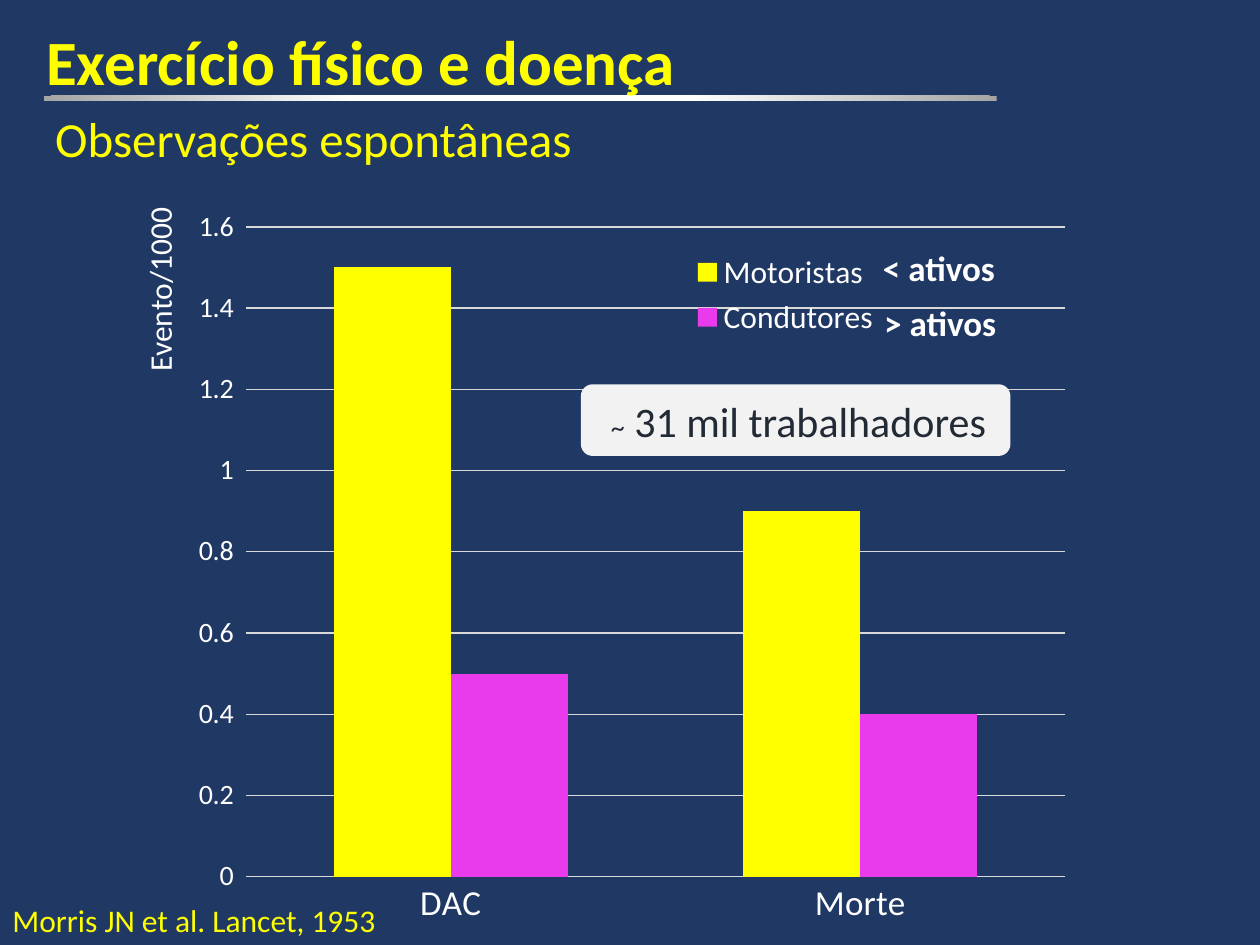
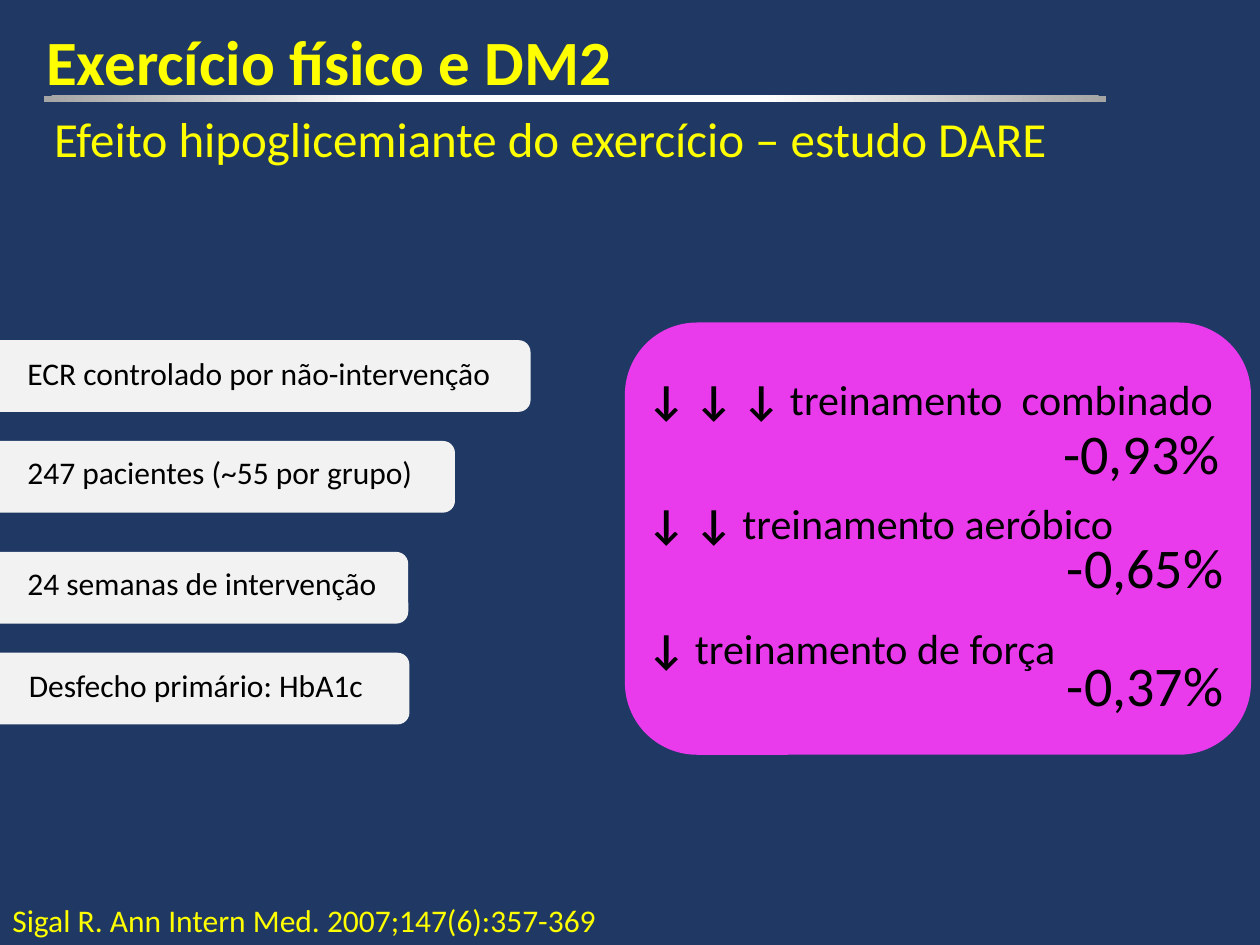
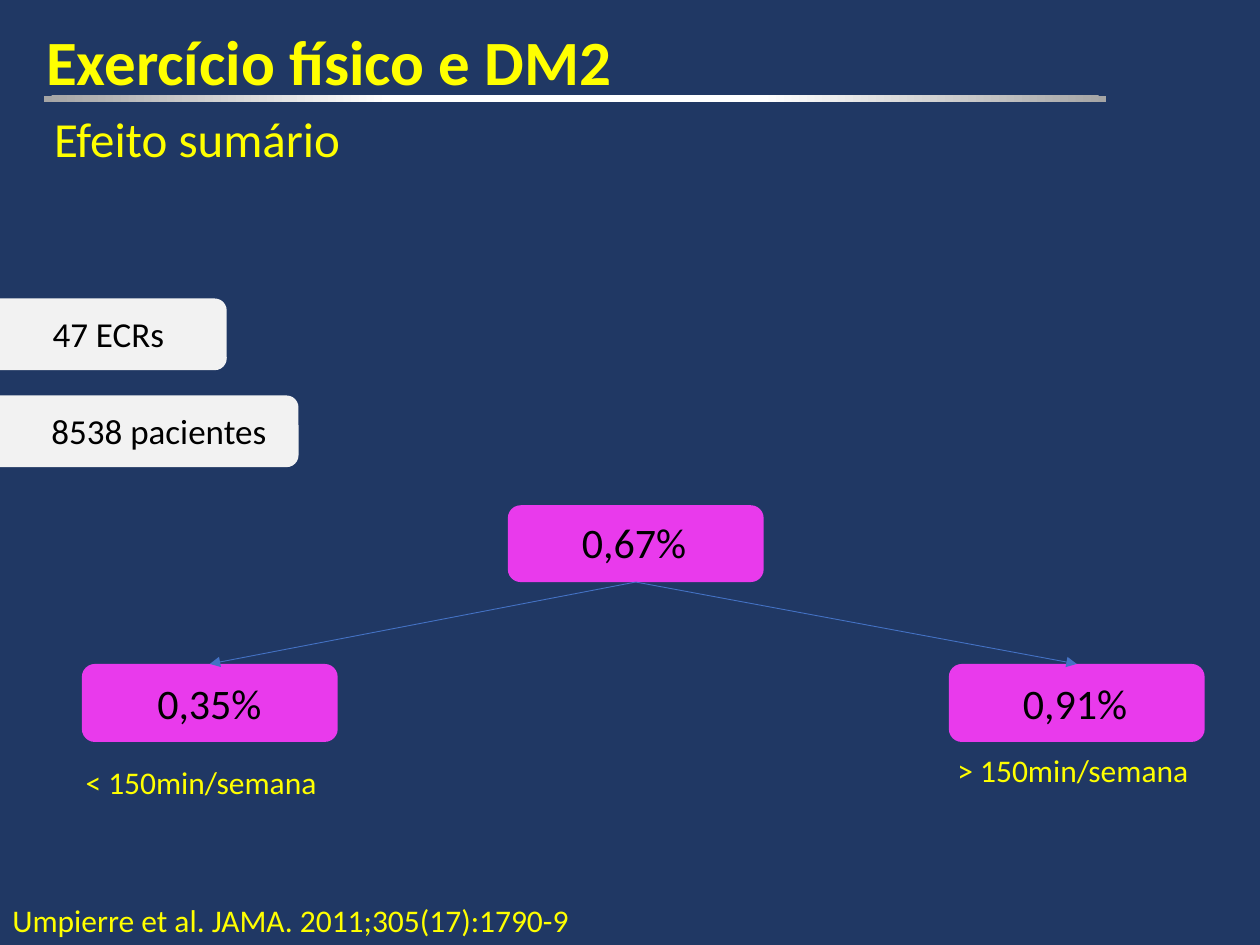
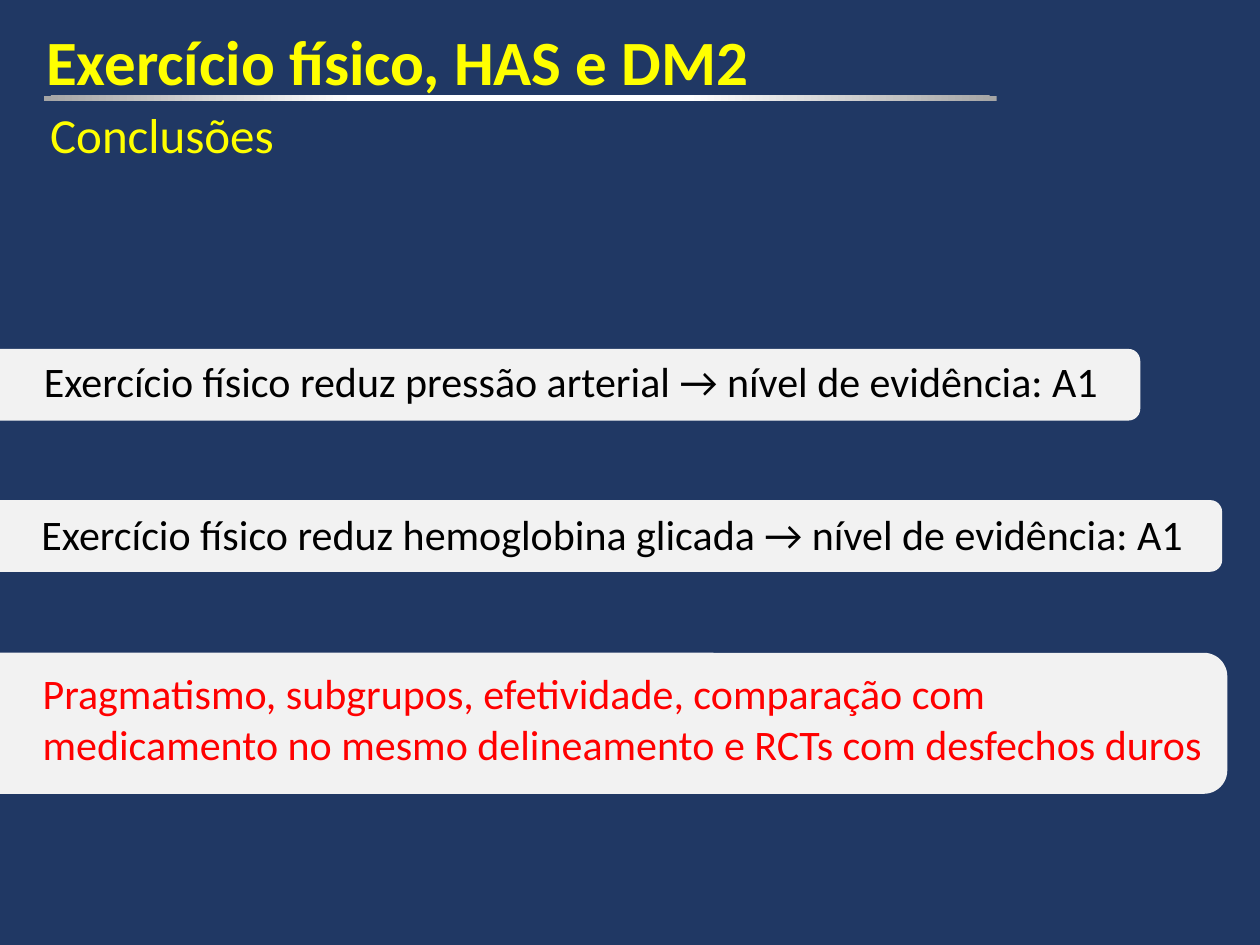
from dataclasses import dataclass

from lxml import etree
from pptx import Presentation
from pptx import util as u
from pptx.chart import data as chart_data
from pptx.dml import color as dml
from pptx.enum import chart as ch
from pptx.enum import shapes, text
from pptx.oxml import parse_xml
from pptx.oxml import ns


@dataclass(frozen=True)
class Theme:
    font: str = "Calibri"
    navy: str = "203864"
    yellow: str = "FFFF00"
    magenta: str = "E93AEC"
    pale: str = "F2F2F2"
    white: str = "FFFFFF"
    black: str = "000000"
    ink: str = "222A35"
    red: str = "FF0000"
    silver: str = "A5A5A5"
    grid: str = "D9D9D9"
    arrow: str = "4472C4"
    title: int = 36
    value: int = 32
    subtitle: int = 28
    body: int = 24
    medium: int = 20
    small: int = 18
    tick: int = 16


T = Theme()
PILL_HEIGHT = 41

# Subtitle: text, left, top, width.  Rule: width, height.  Source: text, width.
HEADERS = {
    "observations": dict(
        title="Exercício físico e doença",
        subtitle=("Observações espontâneas", 24.5, 58.3, 313),
        rule=(544.3, 2.9), source=("Morris JN et al. Lancet, 1953", 224.6)),
    "dare": dict(
        title="Exercício físico e DM2",
        subtitle=("Efeito hipoglicemiante do exercício – estudo DARE", 23.8, 58.3, 588),
        rule=(607, 3.6), source=("Sigal R. Ann Intern Med. 2007;147(6):357-369", 352)),
    "summary": dict(
        title="Exercício físico e DM2",
        subtitle=("Efeito sumário", 23.8, 58.3, 179.3),
        rule=(607, 3.6), source=("Umpierre et al. JAMA. 2011;305(17):1790-9", 336.2)),
    "conclusions": dict(
        title="Exercício físico, HAS e DM2",
        subtitle=("Conclusões", 21.6, 56.2, 144),
        rule=(544.3, 2.9), source=None),
}

EVENTS = {
    "categories": ["DAC", "Morte"],
    "series": [("Motoristas", (1.5, 0.9), T.yellow),
               ("Condutores", (0.5, 0.4), T.magenta)],
}
ACTIVITY = [("< ativos", 497.5, 137.5), ("> ativos", 498.2, 168.5)]

# Text, pill left, top and width, then label left, top and width.
DARE_DESIGN = [
    ("ECR controlado por não-intervenção", -37.4, 194.4, 340.6, 8.6, 198.7, 282.2),
    ("247 pacientes (~55 por grupo)", -37.4, 252, 297.4, 8.6, 255.6, 237.6),
    ("24 semanas de intervenção", -37.4, 315.4, 270.7, 8.6, 319, 216.7),
    ("Desfecho primário: HbA1c", -36.7, 373, 270.7, 9.4, 377.3, 208),
]
SUMMARY_SAMPLE = [
    ("47 ECRs", -36, 170.6, 165.6, 23, 175, 78.5),
    ("8538 pacientes", -32.4, 226, 203, 22.3, 230.4, 156.2),
]
CONCLUSIONS = [
    ("Exercício físico reduz pressão arterial → nível de evidência: A1",
     -53.3, 199.4, 704.9, 18, 199.4, 625),
    ("Exercício físico reduz hemoglobina glicada → nível de evidência: A1",
     -41.8, 285.8, 740.2, 16.6, 287.3, 675.4),
]
GAPS = ("Pragmatismo, subgrupos, efetividade, comparação com medicamento "
        "no mesmo delineamento e RCTs com desfechos duros",
        -38.9, 373, 740.2, 17.3, 378, 679)

# Arrows, training, top, width, then change in HbA1c with its left and top.
TRAINING = [
    ("↓ ↓ ↓ ", "treinamento  combinado", 210.2, 340.6, "-0,93%", 600.5, 235.4),
    ("↓ ↓", " treinamento aeróbico", 280.8, 283, "-0,65%", 602.6, 301),
    ("↓ ", "treinamento de força", 352.1, 249.8, "-0,37%", 602.6, 367.9),
]

# Change, box left, top and height, label left and top.
OVERALL = ("0,67%", 290.2, 288.7, 43.9, 325.4, 291.6)
BY_DURATION = [
    (("0,35%", 46.8, 379.4, 44.6, 82.8, 383.8), ("< 150min/semana", 41.8, 432.7)),
    (("0,91%", 542.2, 379.4, 44.6, 577.4, 383.8), ("> 150min/semana", 540, 425.5)),
]


def rgb(value):
    return dml.RGBColor.from_string(value)


def style_font(font, size, color, bold=False):
    font.name, font.size, font.bold = T.font, u.Pt(size), bold
    font.color.rgb = rgb(color)


def add_text(slide, content, left, top, width, *, size=T.small, color=T.black, bold=False,
             wrap=False, lines=1, height=None, rotation=0):
    """Content is a string, or a list of (string, format overrides)."""
    fit = height is None
    height = height or round(1.2 * size * lines + 7.2, 1)
    box = slide.shapes.add_textbox(u.Pt(left), u.Pt(top), u.Pt(width), u.Pt(height))
    box.rotation = rotation
    frame = box.text_frame
    frame.word_wrap = wrap
    frame.auto_size = text.MSO_AUTO_SIZE.SHAPE_TO_FIT_TEXT if fit else text.MSO_AUTO_SIZE.NONE
    for words, overrides in [(content, {})] if isinstance(content, str) else content:
        run = frame.paragraphs[0].add_run()
        run.text = words
        style_font(run.font, **{"size": size, "color": color, "bold": bold, **overrides})


def add_block(slide, left, top, width, height, color,
              kind=shapes.MSO_SHAPE.ROUNDED_RECTANGLE):
    block = slide.shapes.add_shape(kind, u.Pt(left), u.Pt(top), u.Pt(width), u.Pt(height))
    block.shadow.inherit = False
    block.fill.solid()
    block.fill.fore_color.rgb = rgb(color)
    block.line.fill.background()
    return block


def add_rule(slide, width, height):
    """Thin bar that fades from a white centre to grey ends."""
    rule = add_block(slide, 25.2, 54.7, width, height, T.white, shapes.MSO_SHAPE.RECTANGLE)
    stops = "".join(f'<a:gs pos="{pos}"><a:srgbClr val="{color}"/></a:gs>'
                    for pos, color in [(0, T.white), (35000, T.white), (100000, T.silver)])
    gradient = parse_xml(
        f'<a:gradFill {ns.nsdecls("a")} rotWithShape="1"><a:gsLst>{stops}</a:gsLst>'
        '<a:path path="circle"><a:fillToRect l="50000" t="-80000" r="50000" b="180000"/>'
        '</a:path></a:gradFill>')
    properties = rule.element.spPr
    properties.replace(properties.find(ns.qn("a:solidFill")), gradient)


def add_pill(slide, words, left, top, width, label_left, label_top, label_width,
             height=PILL_HEIGHT, **style):
    add_block(slide, left, top, width, height, T.pale)
    add_text(slide, words, label_left, label_top, label_width, **style)


def add_slide(deck, title, subtitle, rule, source):
    slide = deck.slides.add_slide(deck.slide_layouts[6])
    slide.background.fill.solid()
    slide.background.fill.fore_color.rgb = rgb(T.navy)
    add_rule(slide, *rule)
    add_text(slide, *subtitle, size=T.subtitle, color=T.yellow)
    add_text(slide, title, 19.4, 9.4, 700.6, height=102.2, size=T.title,
             color=T.yellow, bold=True, wrap=True)
    if source:
        words, width = source
        add_text(slide, words, 0, 511.2, width, color=T.yellow)
    return slide


def place(part, x, y, w, h, inner=False):
    """Give a plot area or legend a fixed place, in fractions of the chart."""
    for old in part.findall(ns.qn("c:layout")):
        part.remove(old)
    layout = etree.Element(ns.qn("c:layout"))
    manual = etree.SubElement(layout, ns.qn("c:manualLayout"))
    settings = [("layoutTarget", "inner")] if inner else []
    settings += [("xMode", "edge"), ("yMode", "edge"), ("x", x), ("y", y), ("w", w), ("h", h)]
    for tag, value in settings:
        etree.SubElement(manual, ns.qn(f"c:{tag}")).set("val", str(value))
    part.insert(0 if inner else 1, layout)


def add_event_chart(slide):
    events = chart_data.CategoryChartData()
    events.categories = EVENTS["categories"]
    for name, rates, _ in EVENTS["series"]:
        events.add_series(name, rates)
    chart = slide.shapes.add_chart(ch.XL_CHART_TYPE.COLUMN_CLUSTERED, u.Pt(100.8), u.Pt(110.9),
                                   u.Pt(638.6), u.Pt(426.2), events).chart
    style_font(chart.font, 10, T.black)
    chart.has_title = False

    plot = chart.plots[0]
    plot.gap_width, plot.overlap, plot.vary_by_categories = 150, 0, False
    for series, (_, _, color) in zip(plot.series, EVENTS["series"]):
        series.format.fill.solid()
        series.format.fill.fore_color.rgb = rgb(color)

    outcomes, rates = chart.category_axis, chart.value_axis
    style_font(outcomes.tick_labels.font, T.medium, T.white)
    style_font(rates.tick_labels.font, T.tick, T.white)
    outcomes.major_tick_mark = ch.XL_TICK_MARK.NONE
    rates.major_tick_mark = ch.XL_TICK_MARK.OUTSIDE
    rates.minimum_scale, rates.maximum_scale, rates.major_unit = 0, 1.6, 0.2
    rates.tick_labels.number_format = "General"
    rates.tick_labels.number_format_is_linked = False
    rates.format.line.fill.background()
    for line in (outcomes.format.line, rates.major_gridlines.format.line):
        line.color.rgb, line.width = rgb(T.grid), u.Pt(0.75)

    chart.has_legend = True
    chart.legend.position = ch.XL_LEGEND_POSITION.RIGHT
    chart.legend.include_in_layout = False
    style_font(chart.legend.font, T.small, T.white)
    # Hundredths are too coarse for the plot's edges, so they are given in points.
    place(plot._element.getparent(), 39.8 / 638.6, 18.8 / 426.2, 468 / 638.6, 371.4 / 426.2,
          inner=True)
    place(chart.legend._element, 0.46, 0.07, 0.17, 0.13)


def add_change(slide, change, left, top, height, label_left, label_top):
    box = add_block(slide, left, top, 146.2, height, T.magenta)
    add_text(slide, change, label_left, label_top, 74.9, size=T.body)
    return box


def add_arrow(slide, start, end):
    """Join the bottom of one box to the top of another."""
    arrow = slide.shapes.add_connector(shapes.MSO_CONNECTOR.STRAIGHT, 0, 0, 0, 0)
    arrow.begin_connect(start, 2)
    arrow.end_connect(end, 0)
    arrow.line.color.rgb, arrow.line.width = rgb(T.arrow), u.Pt(0.5)
    etree.SubElement(arrow.line._get_or_add_ln(), ns.qn("a:tailEnd")).set("type", "triangle")
    etree.SubElement(arrow._element.spPr, ns.qn("a:effectLst"))


def build_observations(slide):
    add_event_chart(slide)
    add_text(slide, "Evento/1000", 28.1, 141.8, 126, color=T.white, wrap=True, rotation=270)
    add_pill(slide, [("~", {"size": T.tick}), (" 31 mil trabalhadores", {})],
             331.9, 219.6, 245.5, 342, 222.5, 245.5, size=T.body, color=T.ink, wrap=True)
    for words, left, top in ACTIVITY:
        add_text(slide, words, left, top, 79.2, size=T.medium, color=T.white, bold=True)


def build_dare(slide):
    for design in DARE_DESIGN:
        add_pill(slide, *design)
    add_block(slide, 357.1, 184.3, 357.8, 247, T.magenta)
    for arrows, training, top, width, change, change_left, change_top in TRAINING:
        add_text(slide, [(arrows, {"bold": True}), (training, {})], 362.9, top, width,
                 size=T.body)
        add_text(slide, change, change_left, change_top, 105.1, size=T.value)


def build_summary(slide):
    overall = add_change(slide, *OVERALL)
    for change, (duration, left, top) in BY_DURATION:
        add_arrow(slide, overall, add_change(slide, *change))
        add_text(slide, duration, left, top, 148.3, color=T.yellow)
    for sample in SUMMARY_SAMPLE:
        add_pill(slide, *sample, size=T.medium)


def build_conclusions(slide):
    for conclusion in CONCLUSIONS:
        add_pill(slide, *conclusion, size=T.body)
    add_pill(slide, *GAPS, height=80.6, size=T.body, color=T.red, wrap=True, lines=2)


def main():
    deck = Presentation()
    deck.slide_width, deck.slide_height = u.Pt(720), u.Pt(540)
    builders = [build_observations, build_dare, build_summary, build_conclusions]
    for header, build in zip(HEADERS.values(), builders):
        build(add_slide(deck, **header))
    deck.save("out.pptx")


if __name__ == "__main__":
    main()
